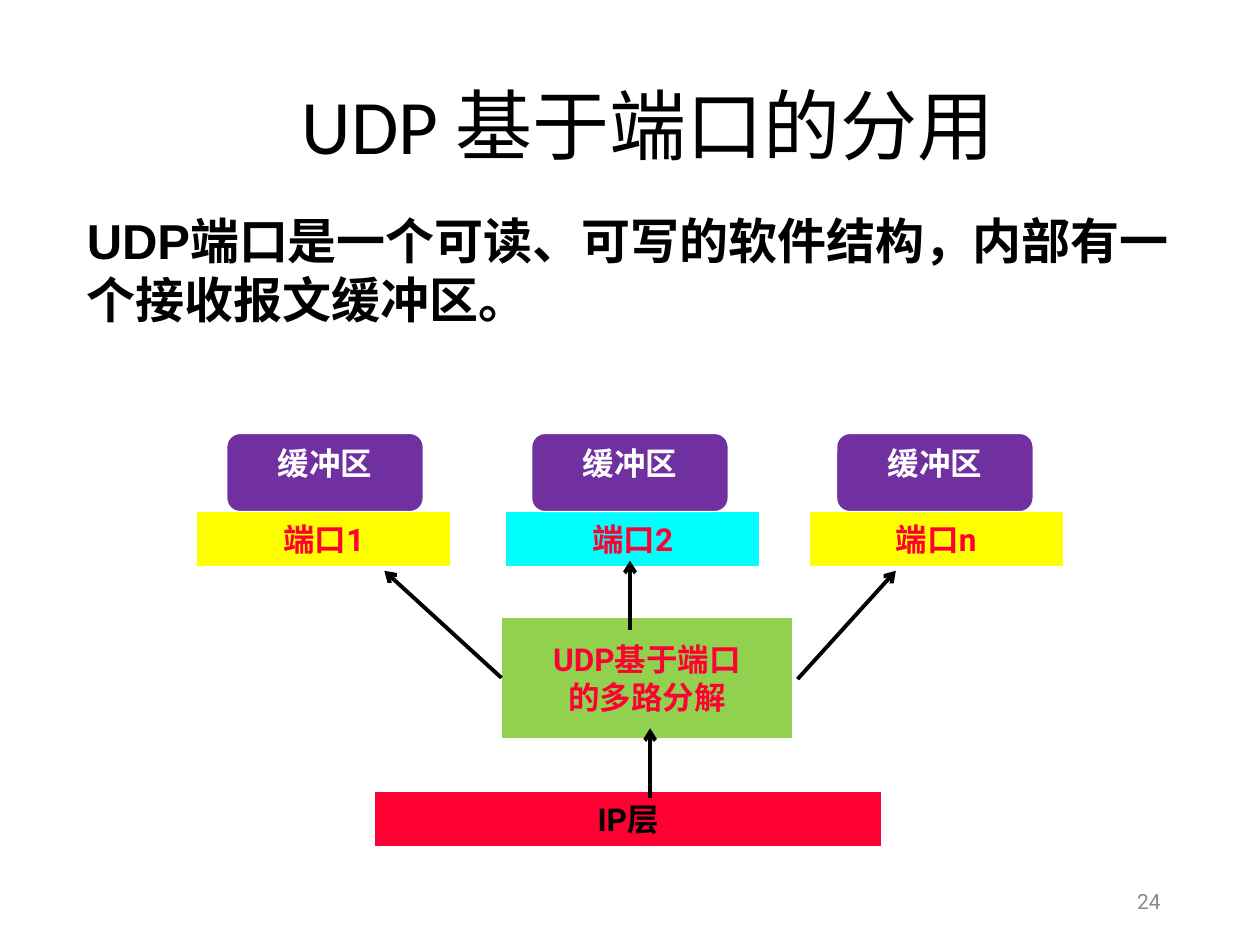
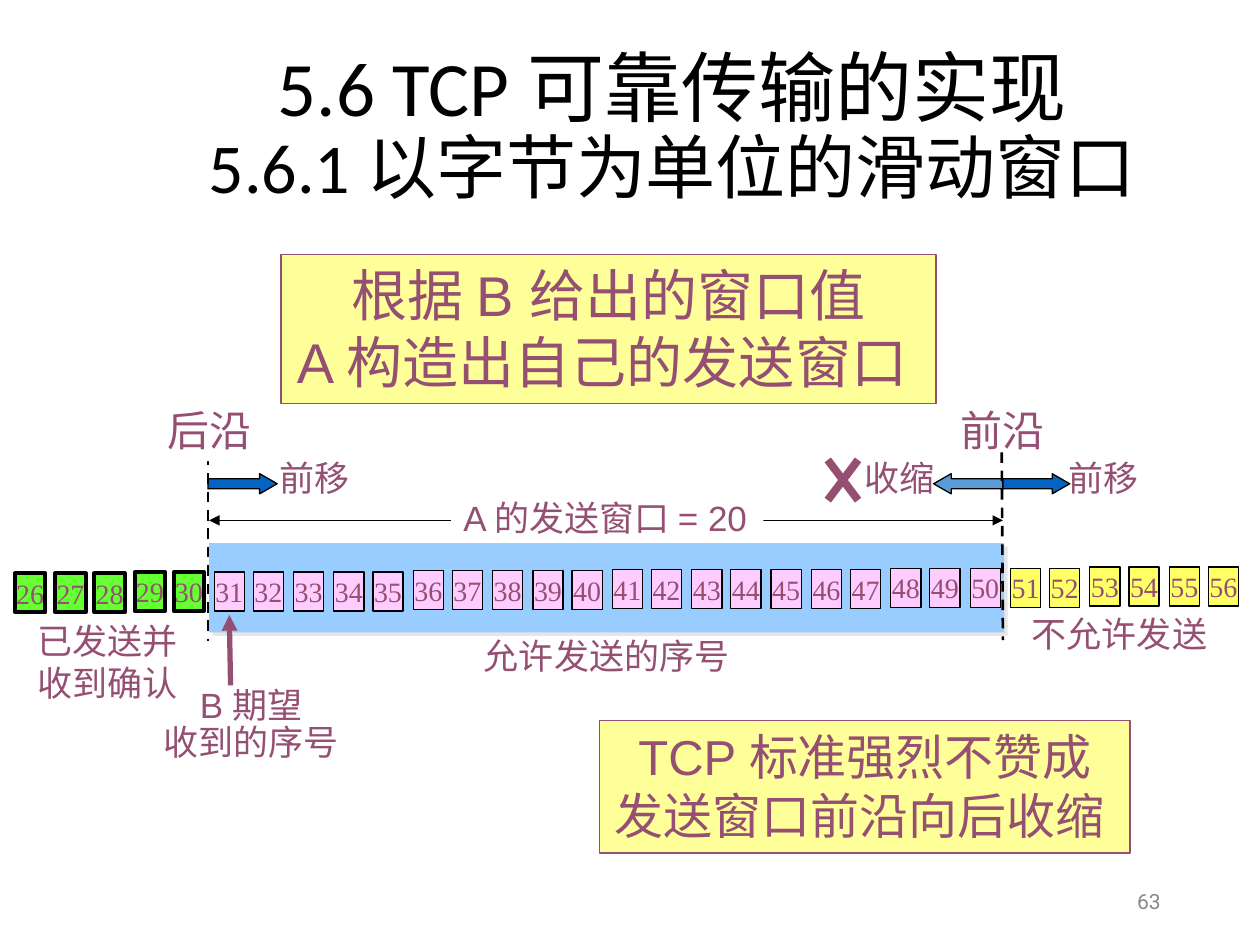
from lxml import etree
from pptx import Presentation
from pptx.dml.color import RGBColor
from pptx.enum.dml import MSO_LINE
from pptx.enum.shapes import MSO_CONNECTOR as LINK, MSO_SHAPE as FORM
from pptx.enum.text import MSO_ANCHOR as ANCHOR, PP_ALIGN as ALIGN
from pptx.oxml.ns import qn
from pptx.util import Pt

PX = 9144  # EMU per px, 100 px to the inch
BLACK, WHITE, GRAY = "000000", "FFFFFF", "898989"
RED, YELLOW, CYAN, GREEN, VIOLET = "FF0033", "FFFF00", "00FFFF", "92D050", "7030A0"
PLUM, CREAM, SKY, NAVY, BLUE = "954F72", "FFFF99", "99CCFF", "0563C1", "5B9BD5"
LIME, PINK, LEMON, SHADE = "66FF33", "FFCCFF", "FFFF66", "E7E6E6"
HEAD, BODY, SANS, SERIF = "Calibri", "Roboto", "Arial", "Times New Roman"


def rgb(code):
    return RGBColor.from_string(code)


def emu(*sizes):
    return [size * PX for size in sizes]


class Deck:
    def __init__(self):
        self.prs = Presentation()
        self.prs.slide_width, self.prs.slide_height = emu(1000, 750)
        self.slide = None

    def page(self, title, width, number, sizes=(44,)):
        """Start a slide with its title and number."""
        self.slide = self.prs.slides.add_slide(self.prs.slide_layouts[6])
        box = self.text((126, 23, width, 160), title, sizes[0], BLACK, HEAD,
                        anchor=ANCHOR.MIDDLE, wrap=True, gap=0.9)
        for run, size in zip(box.text_frame.paragraphs[0].runs, sizes):
            run.font.size = Pt(size)
        self.text((706, 695, 225, 40), str(number), 12, GRAY, BODY,
                  align=ALIGN.RIGHT, anchor=ANCHOR.MIDDLE, wrap=True)

    def letter(self, shape, text, size, color, font, bold=False,
               align=ALIGN.CENTER, anchor=ANCHOR.TOP, wrap=False, gap=None):
        """Set and format the text of a shape."""
        frame = shape.text_frame
        frame.text = text
        frame.word_wrap = wrap
        frame.vertical_anchor = anchor
        for para in frame.paragraphs:
            para.alignment = align
            if gap:
                para.line_spacing = gap
            for run in para.runs:
                run.font.size, run.font.name, run.font.bold = Pt(size), font, bold
                run.font.color.rgb = rgb(color)

    def text(self, box, text, size, color, font, **style):
        shape = self.slide.shapes.add_textbox(*emu(*box))
        self.letter(shape, text, size, color, font, **style)
        return shape

    def shape(self, box, fill, line=None, width=0.75, form=FORM.RECTANGLE, adjust=()):
        shape = self.slide.shapes.add_shape(form, *emu(*box))
        shape.shadow.inherit = False
        shape.fill.solid()
        shape.fill.fore_color.rgb = rgb(fill)
        if line:
            shape.line.color.rgb = rgb(line)
            shape.line.width = Pt(width)
        else:
            shape.line.fill.background()
        for index, value in enumerate(adjust):
            shape.adjustments[index] = value
        return shape

    def block(self, box, fill, text, color=RED):
        """Bold label in a filled box of the port diagram."""
        shape = self.shape(box, fill, WHITE)
        self.letter(shape, text, 18, color, BODY, True, anchor=ANCHOR.MIDDLE)
        return shape

    def label(self, box, text, size=20, font=SERIF, fill=WHITE, line=None, **style):
        shape = self.shape(box, fill, line)
        self.letter(shape, text, size, PLUM, font, **style)

    def arrow(self, box, fill, flip=False):
        shape = self.shape(box, fill, BLACK, form=FORM.RIGHT_ARROW, adjust=(0.5, 0.87))
        if flip:
            shape.element.spPr.find(qn("a:xfrm")).set("flipH", "1")

    def line(self, ends, color=BLACK, width=0.75, head=None, tail=None, dash=False):
        line = self.slide.shapes.add_connector(LINK.STRAIGHT, *emu(*ends))
        line.line.color.rgb = rgb(color)
        line.line.width = Pt(width)
        if dash:
            line.line.dash_style = MSO_LINE.DASH
        stroke = line.element.spPr.find(qn("a:ln"))
        for tag, kind in (("a:headEnd", head), ("a:tailEnd", tail)):
            if kind:
                etree.SubElement(stroke, qn(tag), type=kind)
        etree.SubElement(line.element.spPr, qn("a:effectLst"))
        return line

    def shade(self, shape):
        """Hard shadow, 2.8 pt down to the right."""
        glow = shape.element.spPr.find(qn("a:effectLst"))
        outer = etree.SubElement(glow, qn("a:outerShdw"), dist="35560", dir="2700000")
        etree.SubElement(outer, qn("a:srgbClr"), val=SHADE)


def ports(deck):
    deck.page("UDP 基于端口的分用 ", 791, 24)
    deck.text((59, 162, 882, 104),
              "UDP端口是一个可读、可写的软件结构，内部有一个接收报文缓冲区。",
              28, BLACK, SANS, bold=True, align=ALIGN.LEFT, wrap=True)

    # Ports, each under its buffer
    for index, (name, left, fill) in enumerate(
            (("1", 156, YELLOW), ("2", 401, CYAN), ("n", 642, YELLOW))):
        deck.block((left, 406, 202, 44), fill, "端口" + name)
        cache = deck.shape((180 + 242 * index, 344, 156, 62), VIOLET, WHITE,
                           form=FORM.ROUNDED_RECTANGLE, adjust=(0.17,))
        deck.letter(cache, "缓冲区", 18, WHITE, BODY, True)

    # Splitter and IP layer
    split = deck.block((398, 490, 231, 96), GREEN, "UDP基于端口\n的多路分解")
    deck.block((297, 628, 403, 44), RED, "IP层", BLACK)

    # Arrows up to the ports
    for ends in ((516, 633, 516, 578), (500, 500, 500, 445), (633, 539, 711, 453)):
        deck.line(ends, width=2.25, tail="arrow")
    first = deck.line((398, 538, 305, 453), width=2.25, tail="arrow")
    first.begin_connect(split, 1)


def window(deck):
    deck.page("5.6 TCP 可靠传输的实现\v5.6.1 以字节为单位的滑动窗口", 815, 63, (44, 40))

    # Moves of the two edges
    deck.label((838, 357, 76, 43), "前移")
    deck.arrow((794, 376, 55, 16), NAVY)
    deck.arrow((741, 376, 55, 16), BLUE, flip=True)
    deck.arrow((165, 376, 55, 16), NAVY)

    # Captions and window span
    deck.label((809, 481, 159, 43), "不允许发送")
    deck.label((20, 487, 131, 77), "已发送并\n收到确认")
    deck.line((166, 413, 796, 413), head="triangle", tail="triangle")
    deck.label((358, 389, 248, 43), "A 的发送窗口 = 20", font=SANS, align=ALIGN.LEFT)
    deck.label((374, 499, 215, 43), "允许发送的序号")
    deck.shade(deck.shape((166, 431, 631, 71), SKY))

    # Byte numbers, on a slightly rising row
    for step, number in enumerate(range(26, 57)):
        fill = LIME if number <= 30 else PINK if number <= 50 else LEMON
        cell = deck.shape((round(12 + 31.58 * step), round(455 - step / 6), 24, 31),
                          fill, BLACK, 2.25 if fill == LIME else 0.75)
        deck.letter(cell, str(number), 16, PLUM, SERIF, anchor=ANCHOR.MIDDLE)

    # Next byte expected
    deck.line((183, 544, 182, 488), PLUM, 3, tail="triangle")
    deck.text((120, 541, 159, 70), "B 期望\n收到的序号", 20, PLUM, SANS, gap=0.9)

    # Window edges
    deck.line((165, 361, 165, 509), width=1.5, dash=True)
    deck.label((752, 316, 87, 50), "前沿", 24)
    deck.label((123, 316, 87, 50), "后沿", 24)
    deck.line((795, 359, 796, 508), width=1.5, dash=True)
    for left, word in ((212, "前移"), (676, "收缩")):
        deck.text((left, 357, 76, 43), word, 20, PLUM, SERIF)

    # Cross over the shrinking move
    for start, end in ((681, 657), (657, 681)):
        deck.line((start, 365, end, 397), PLUM, 4.5)

    # Notes
    deck.label((223, 202, 520, 118), "根据 B 给出的窗口值\nA 构造出自己的发送窗口 ",
               32, SANS, CREAM, PLUM)
    deck.label((476, 572, 421, 105), "TCP 标准强烈不赞成\n发送窗口前沿向后收缩 ",
               28, SANS, CREAM, PLUM)


def main():
    deck = Deck()
    ports(deck)
    window(deck)
    deck.prs.save("out.pptx")


if __name__ == "__main__":
    main()
